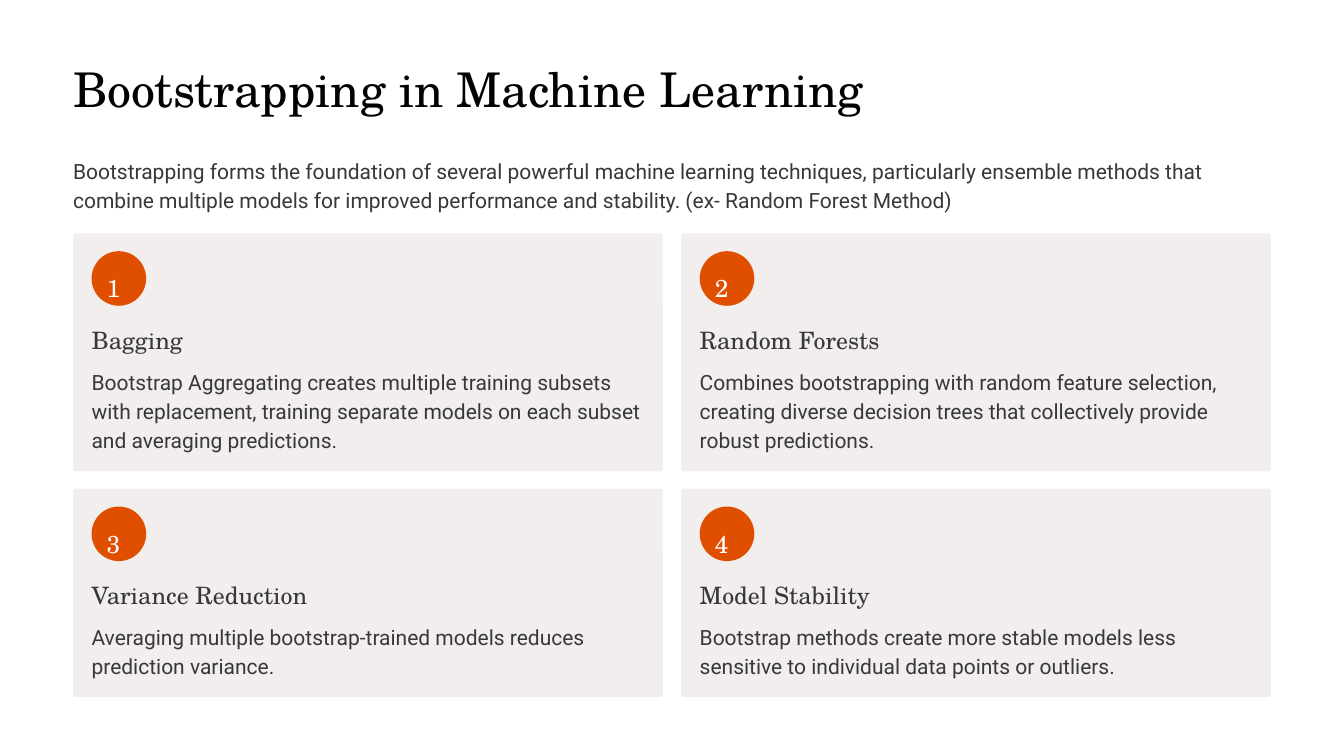
from dataclasses import dataclass

from pptx import Presentation
from pptx.dml.color import RGBColor
from pptx.enum.shapes import MSO_SHAPE as Preset
from pptx.enum.text import MSO_ANCHOR as Anchor, PP_ALIGN as Align
from pptx.util import Inches, Pt

GRID_COLUMNS, GRID_ROWS = 16, 9

# Page measures, in grid columns and rows
MARGIN, GUTTER = 0.87, 0.22
CONTENT_WIDTH = GRID_COLUMNS - 2 * MARGIN
CARD_WIDTH = (CONTENT_WIDTH - GUTTER) / 2
CARD_ROWS = [(2.78, 2.83), (5.82, 2.48)]
PADDING_X, PADDING_Y = 0.22, 0.21

CARDS = [
    ("Bagging",
     "Bootstrap Aggregating creates multiple training subsets with replacement, "
     "training separate models on each subset and averaging predictions."),
    ("Random Forests",
     "Combines bootstrapping with random feature selection, creating diverse "
     "decision trees that collectively provide robust predictions."),
    ("Variance Reduction",
     "Averaging multiple bootstrap-trained models reduces prediction variance."),
    ("Model Stability",
     "Bootstrap methods create more stable models less sensitive to individual "
     "data points or outliers."),
]


@dataclass(frozen=True)
class Theme:
    serif: str = "TeX Gyre Schola"
    sans: str = "Roboto"
    white: str = "FFFFFF"
    black: str = "020202"
    ink: str = "383838"
    card: str = "F2EEEE"
    accent: str = "E04F00"
    title_size: float = 41
    number_size: float = 21
    heading_size: float = 20.5
    body_size: float = 18


def write(frame, text, *, font, size, color, leading, wrap=True):
    """Fill a text frame with one formatted paragraph."""
    frame.word_wrap = wrap
    frame.vertical_anchor = Anchor.TOP
    frame.margin_left = frame.margin_right = 0
    frame.margin_top = frame.margin_bottom = 0
    para = frame.paragraphs[0]
    para.alignment = Align.LEFT
    para.line_spacing = Pt(leading)
    span = para.add_run()
    span.text = text
    span.font.name = font
    span.font.size = Pt(size)
    span.font.color.rgb = RGBColor.from_string(color)


class Painter:
    """Draws on one page; lengths are columns and rows of the grid."""

    def __init__(self, deck, theme):
        self.theme = theme
        self.page = deck.slides.add_slide(deck.slide_layouts[6])
        self.column = deck.slide_width / GRID_COLUMNS
        self.row = deck.slide_height / GRID_ROWS
        self.page.background.fill.solid()
        self.page.background.fill.fore_color.rgb = RGBColor.from_string(theme.white)

    def area(self, left, top, width, height):
        return (round(left * self.column), round(top * self.row),
                round(width * self.column), round(height * self.row))

    def text(self, text, *place, **style):
        box = self.page.shapes.add_textbox(*self.area(*place))
        write(box.text_frame, text, **style)

    def panel(self, *place, color, rounding):
        shape = self.page.shapes.add_shape(Preset.ROUNDED_RECTANGLE, *self.area(*place))
        shape.adjustments[0] = rounding
        shape.shadow.inherit = False
        shape.fill.solid()
        shape.fill.fore_color.rgb = RGBColor.from_string(color)
        shape.line.fill.background()

    def title(self, text, *place):
        self.text(text, *place, font=self.theme.serif, size=self.theme.title_size,
                  color=self.theme.black, leading=51, wrap=False)

    def body(self, text, *place):
        self.text(text, *place, font=self.theme.sans, size=self.theme.body_size,
                  color=self.theme.ink, leading=25)

    def heading(self, text, *place):
        self.text(text, *place, font=self.theme.serif, size=self.theme.heading_size,
                  color=self.theme.ink, leading=25.5, wrap=False)

    def badge(self, number, left, top):
        self.panel(left, top, 0.65, 0.65, color=self.theme.accent, rounding=0.5)
        self.text(str(number), left + 0.18, top + 0.15, 0.29, 0.37,
                  font=self.theme.serif, size=self.theme.number_size,
                  color=self.theme.white, leading=33.5, wrap=False)

    def card(self, number, heading, body, left, top, width, height):
        self.panel(left, top, width, height, color=self.theme.card,
                   rounding=0.03 / height)
        inner, inner_width = left + PADDING_X, width - 2 * PADDING_X
        self.badge(number, inner, top + PADDING_Y)
        self.heading(heading, inner, top + 1.08, 2.85, 0.36)
        self.body(body, inner, top + 1.57, inner_width, height - 1.79)


def main():
    deck = Presentation()
    deck.slide_width, deck.slide_height = Inches(16), Inches(9)
    painter = Painter(deck, Theme())

    # Title and introduction
    painter.title("Bootstrapping in Machine Learning", MARGIN, 0.69, 10, 0.71)
    painter.body(
        "Bootstrapping forms the foundation of several powerful machine learning "
        "techniques, particularly ensemble methods that combine multiple models for "
        "improved performance and stability. (ex- Random Forest Method)",
        MARGIN, 1.84, CONTENT_WIDTH, 0.69)

    # Two-by-two cards
    for index, (heading, body) in enumerate(CARDS):
        row, column = divmod(index, 2)
        top, height = CARD_ROWS[row]
        left = MARGIN + column * (CARD_WIDTH + GUTTER)
        painter.card(index + 1, heading, body, left, top, CARD_WIDTH, height)

    deck.save("out.pptx")


if __name__ == "__main__":
    main()
